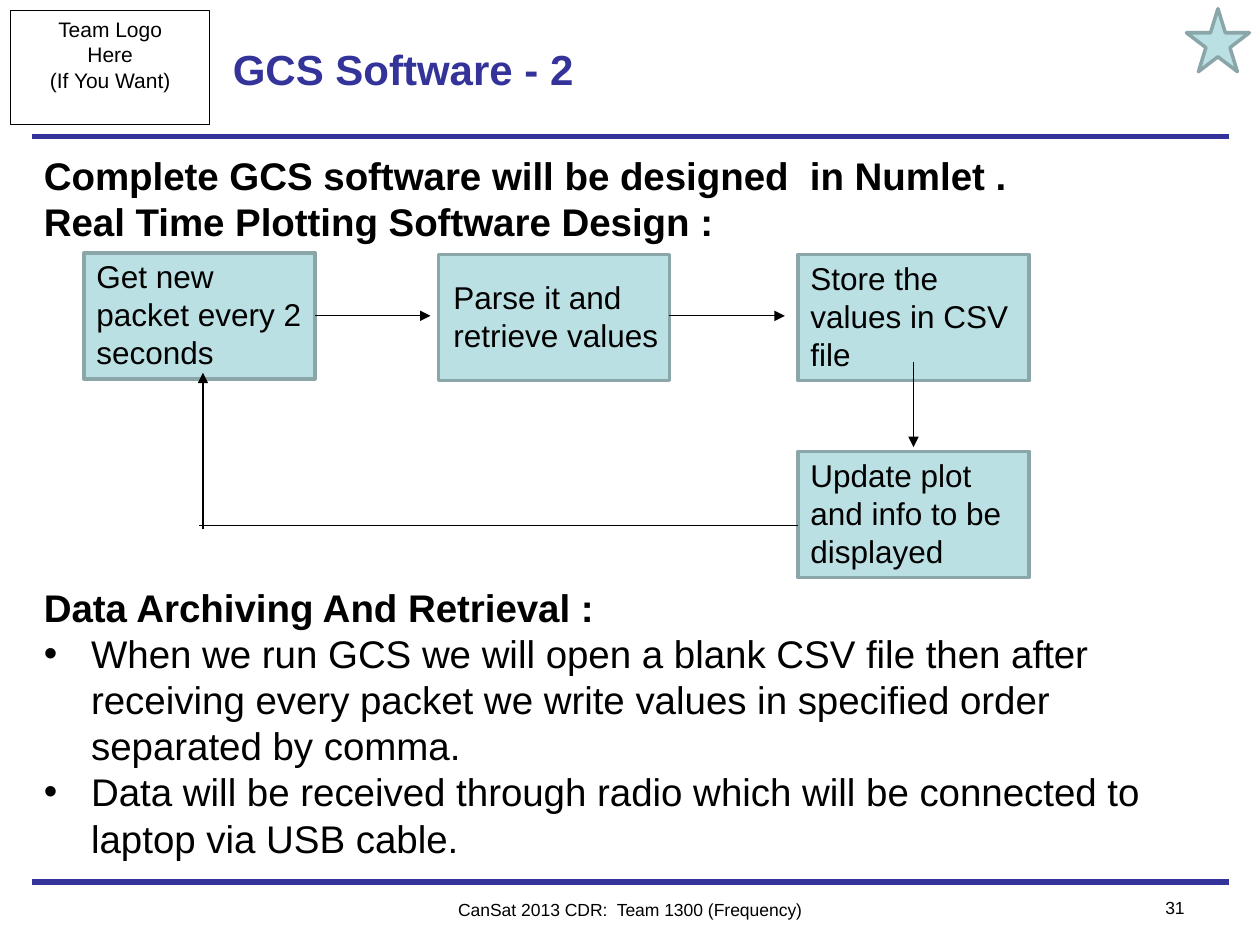
import pptx
import pptx.util
import pptx.dml.color
import pptx.enum.shapes
import pptx.enum.text
import pptx.oxml
import pptx.oxml.ns

Pt = pptx.util.Pt
SHAPES = pptx.enum.shapes.MSO_SHAPE
ALIGN = pptx.enum.text.PP_ALIGN
ANCHOR = pptx.enum.text.MSO_ANCHOR

COLORS = {
    "accent": "333399",
    "text": "000000",
    "fill": "BBE0E3",
    "outline": "8AA6A8",
}
FONT = "Arial"
STEP_WIDTH, STEP_HEIGHT = 132, 72
BULLET_INDENT = 27


def color(name):
    return pptx.dml.color.RGBColor.from_string(COLORS[name])


def drawing_element(tag, **attributes):
    element = pptx.oxml.parse_xml(f"<a:{tag} {pptx.oxml.ns.nsdecls('a')}/>")
    for name, value in attributes.items():
        element.set(name, value)
    return element


def write_text(shape, lines, size=18, bold=False, color_name="text", align=ALIGN.LEFT,
               anchor=ANCHOR.TOP, wrap=True, bullets_from=None):
    """Write one paragraph per line; lines from bullets_from on are plain bullets."""
    frame = shape.text_frame
    frame.word_wrap = wrap
    frame.vertical_anchor = anchor
    for index, line in enumerate(lines):
        paragraph = frame.paragraphs[0] if index == 0 else frame.add_paragraph()
        bulleted = bullets_from is not None and index >= bullets_from
        if bulleted:
            properties = paragraph._p.get_or_add_pPr()
            properties.set("marL", str(Pt(BULLET_INDENT)))
            properties.set("indent", str(-Pt(BULLET_INDENT)))
            properties.append(drawing_element("buFont", typeface=FONT))
            properties.append(drawing_element("buChar", char="•"))
        paragraph.alignment = align
        run = paragraph.add_run()
        run.text = line
        run.font.name = FONT
        run.font.size = Pt(size)
        run.font.bold = bold and not bulleted
        run.font.color.rgb = color(color_name)


def add_text(slide, box, lines, **text_format):
    textbox = slide.shapes.add_textbox(*map(Pt, box))
    write_text(textbox, lines, **text_format)


def add_panel(slide, kind, box, fill="fill", outline="outline", width=2):
    shape = slide.shapes.add_shape(kind, *map(Pt, box))
    shape.shadow.inherit = False
    if fill:
        shape.fill.solid()
        shape.fill.fore_color.rgb = color(fill)
    else:
        shape.fill.background()
    shape.line.color.rgb = color(outline)
    shape.line.width = Pt(width)
    return shape


def add_line(slide, start, end, color_name="text", width=0.75, arrow=False):
    connector = slide.shapes.add_connector(
        pptx.enum.shapes.MSO_CONNECTOR.STRAIGHT, *map(Pt, (*start, *end)))
    connector.line.color.rgb = color(color_name)
    connector.line.width = Pt(width)
    if arrow:
        connector.line._get_or_add_ln().append(drawing_element("tailEnd", type="triangle"))
    connector._element.spPr.append(drawing_element("effectLst"))


def add_header(slide, box):
    left, top, width, height = box
    add_line(slide, (left + 18, top + height), (left + width - 18, top + height),
             color_name="accent", width=3)
    logo_box = add_panel(slide, SHAPES.RECTANGLE, (left + 6, top + 6, 114, 65),
                         fill=None, outline="text", width=0.5)
    write_text(logo_box, ["Team Logo", "Here", "(If You Want)"], size=12,
               align=ALIGN.CENTER, wrap=False)
    add_text(slide, (left + 126, top + 6, 426, 66), ["GCS Software - 2"], size=24,
             bold=True, color_name="accent", anchor=ANCHOR.MIDDLE)
    add_panel(slide, SHAPES.STAR_5_POINT, (left + width - 42, top + 5, 36, 36))


def add_footer(slide, box):
    left, top, width, _ = box
    add_line(slide, (left + 18, top), (left + width - 18, top),
             color_name="accent", width=3)
    add_text(slide, (left + (width - 288) / 2, top + 6, 288, 19.4),
             ["CanSat 2013 CDR:  Team 1300 (Frequency)"], size=10, align=ALIGN.CENTER)
    add_text(slide, (left + width - 90, top + 5, 54, 19.4), ["31"], size=10,
             align=ALIGN.RIGHT)


def add_step(slide, left, top, text, label_left=0):
    add_panel(slide, SHAPES.RECTANGLE, (left, top, STEP_WIDTH, STEP_HEIGHT))
    add_text(slide, (left + label_left, top - 1, STEP_WIDTH, STEP_HEIGHT), [text],
             anchor=ANCHOR.MIDDLE)


def add_plotting_flow(slide, box):
    left, top, width, height = box
    parse_left = left + 202.5
    last_left = left + width - STEP_WIDTH
    update_top = top + height - STEP_HEIGHT
    add_step(slide, left, top, "Get new packet every 2 seconds")
    add_step(slide, parse_left, top + 1, "Parse it and retrieve values", label_left=1.5)
    add_step(slide, last_left, top + 1, "Store the values in CSV file")
    add_step(slide, last_left, update_top, "Update plot and info to be displayed")

    middle = top + STEP_HEIGHT / 2
    for start in (left + STEP_WIDTH, parse_left + STEP_WIDTH):
        add_line(slide, (start, middle), (start + 66, middle), arrow=True)
    down = last_left + STEP_WIDTH / 2
    add_line(slide, (down, top + 62.5), (down, update_top - 2.5), arrow=True)
    return_x, return_y = left + 68, update_top + 42.5
    add_line(slide, (last_left, return_y), (return_x - 2, return_y))
    add_line(slide, (return_x, return_y + 2), (return_x, top + 68.5), arrow=True)


def main():
    presentation = pptx.Presentation()
    presentation.slide_width, presentation.slide_height = Pt(720), Pt(540)
    slide = presentation.slides.add_slide(presentation.slide_layouts[6])
    add_header(slide, (0, 0, 720, 78))
    add_footer(slide, (0, 504, 720, 36))
    add_text(slide, (18, 83.5, 684, 60.5), [
        "Complete GCS software will be designed  in Numlet .",
        "Real Time Plotting Software Design :",
    ], size=22, bold=True)
    add_plotting_flow(slide, (48, 144.5, 540, 185.5))
    add_text(slide, (18, 330, 684, 167), [
        "Data Archiving And Retrieval :",
        "When we run GCS we will open a blank CSV file then after receiving every "
        "packet we write values in specified order separated by comma.",
        "Data will be received through radio which will be connected to laptop via "
        "USB cable.",
    ], size=22, bold=True, bullets_from=1)
    presentation.save("out.pptx")


if __name__ == "__main__":
    main()
